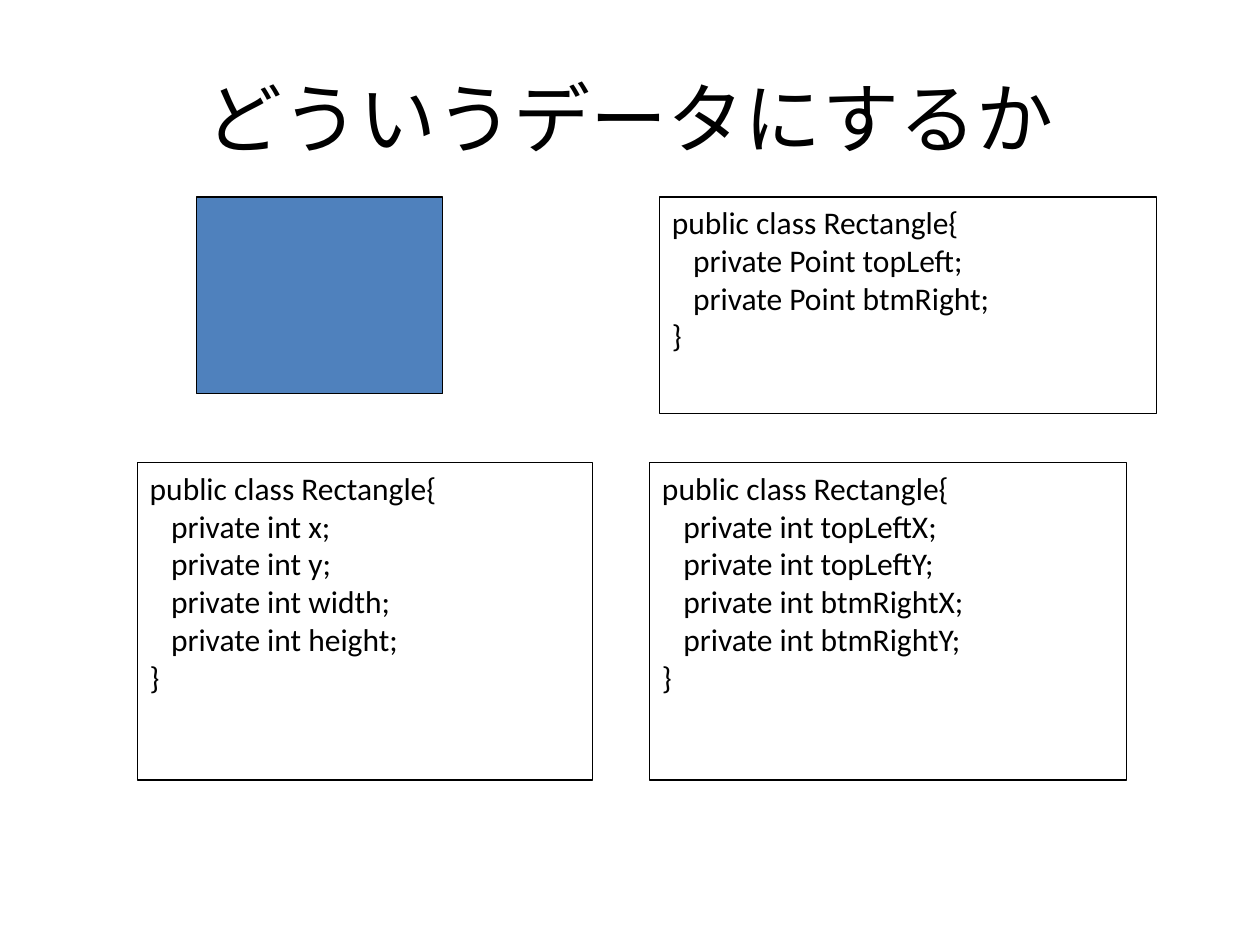
from dataclasses import dataclass
from pptx import Presentation
from pptx.dml.color import RGBColor as Rgb
from pptx.enum.shapes import MSO_SHAPE as Shape
from pptx.enum.text import MSO_ANCHOR as Anchor, MSO_AUTO_SIZE as Fit, PP_ALIGN as Align
from pptx.util import Pt


@dataclass(frozen=True)
class Theme:
    font: str = "Calibri"
    ink: Rgb = Rgb(0, 0, 0)
    blue: Rgb = Rgb(0x4F, 0x81, 0xBD)
    title: float = 44
    code: float = 18
    line: float = 0.75
    indent: float = 12.2


THEME = Theme()


def apply(item, **values):
    for name, value in values.items():
        setattr(item, name, value)


def write(par, text, size, align):
    par.alignment = align
    run = par.add_run()
    run.text = text
    apply(run.font, name=THEME.font, size=Pt(size))
    run.font.color.rgb = THEME.ink


def add_title(slide, text, box):
    frame = slide.shapes.add_textbox(*map(Pt, box)).text_frame
    apply(frame, word_wrap=True, auto_size=Fit.NONE, vertical_anchor=Anchor.MIDDLE)
    write(frame.paragraphs[0], text, THEME.title, Align.CENTER)


def add_box(slide, box, fill=None):
    shape = slide.shapes.add_shape(Shape.RECTANGLE, *map(Pt, box))
    shape.shadow.inherit = False
    if fill is None:
        shape.fill.background()
    else:
        shape.fill.solid()
        shape.fill.fore_color.rgb = fill
    shape.line.color.rgb = THEME.ink
    shape.line.width = Pt(THEME.line)
    return shape


def add_class(slide, box, fields):
    frame = add_box(slide, box).text_frame
    apply(frame, word_wrap=True, auto_size=Fit.NONE, vertical_anchor=Anchor.TOP)
    lines = ["public class Rectangle{", *(f"private {field};" for field in fields), "}"]
    for row, text in enumerate(lines):
        par = frame.add_paragraph() if row else frame.paragraphs[0]
        write(par, text, THEME.code, Align.LEFT)
        if 0 < row < len(lines) - 1:
            par._p.get_or_add_pPr().set("marL", str(Pt(THEME.indent)))


def main():
    deck = Presentation()
    apply(deck, slide_width=Pt(720), slide_height=Pt(540))
    slide = deck.slides.add_slide(deck.slide_layouts[6])
    top, low, tall = 112.5, 264.4, 181.4
    add_title(slide, "どういうデータにするか", (36, 21.6, 648, 90))
    corners = ("int topLeftX", "int topLeftY", "int btmRightX", "int btmRightY")
    add_class(slide, (371.2, low, 272.5, tall), corners)
    sides = ("int x", "int y", "int width", "int height")
    add_class(slide, (78.5, low, 260, tall), sides)
    add_box(slide, (112.5, top, 140.6, 112.5), THEME.blue)
    add_class(slide, (376.8, top, 284.2, 123.8), ("Point topLeft", "Point btmRight"))
    deck.save("out.pptx")


main()
